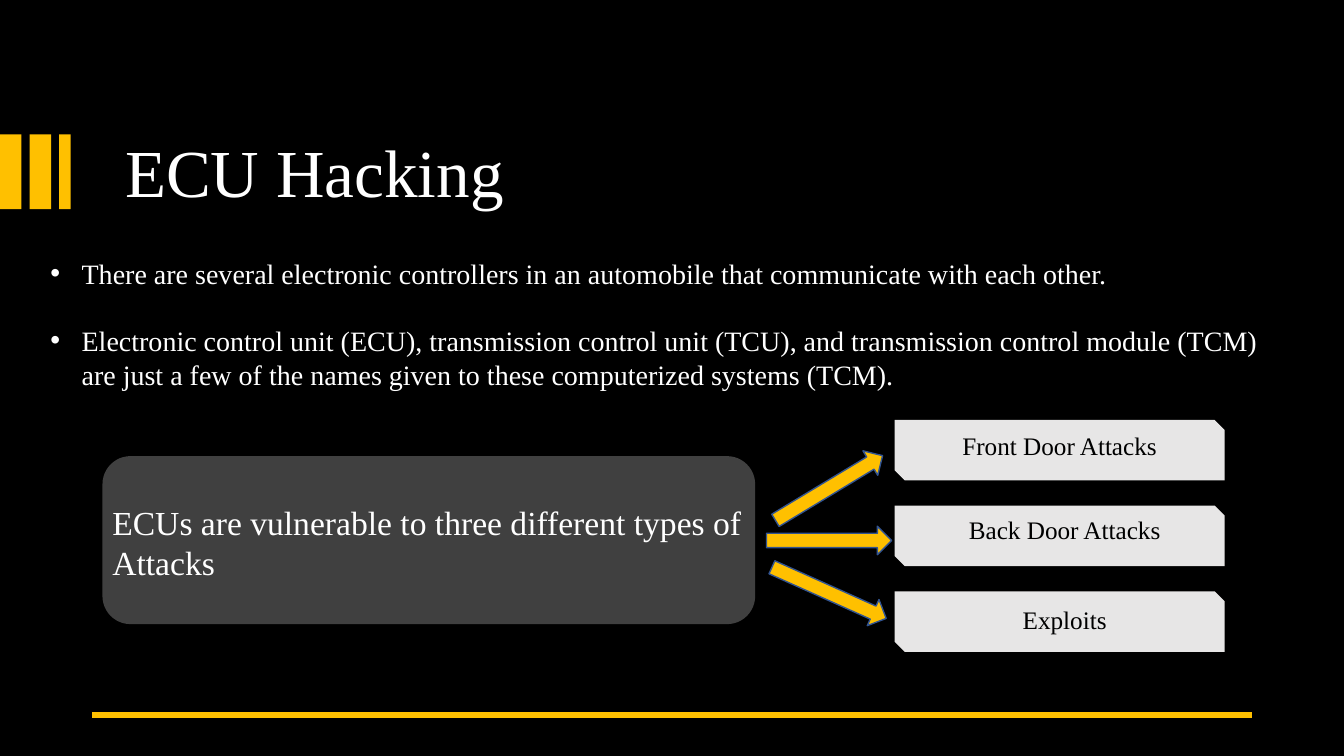
import dataclasses

import lxml.etree
import pptx
import pptx.dml.color
import pptx.enum.shapes
import pptx.enum.text
import pptx.oxml.ns
import pptx.util

COLORS = {
    "background": "000000",
    "accent": "FFC000",
    "claim": "404040",
    "card": "E7E6E6",
    "arrow_edge": "325491",
    "light_text": "FFFFFF",
    "dark_text": "000000",
}
FONT = "Times New Roman"
COLUMNS, ROWS = 160, 90
CELL = pptx.util.Inches(7.5) // ROWS
SHAPES = pptx.enum.shapes.MSO_SHAPE
ALIGN = pptx.enum.text.PP_ALIGN
ANCHOR = pptx.enum.text.MSO_ANCHOR

FACTS = [
    "There are several electronic controllers in an automobile that communicate with each other.",
    "Electronic control unit (ECU), transmission control unit (TCU), and transmission control "
    "module (TCM) are just a few of the names given to these computerized systems (TCM).",
]
ATTACKS = [
    ("Front Door Attacks", 2.2, 0.6),
    ("Back Door Attacks", 2.8, 0.5),
    ("Exploits", 2.8, 1),
]
ARROW_ANGLES = [-31.1, 0, 24.1]


@dataclasses.dataclass
class Box:
    left: float
    top: float
    width: float
    height: float

    def inner(self, left, top, width, height):
        return Box(self.left + left, self.top + top, width, height)

    def emu(self):
        return [round(cells * CELL) for cells in (self.left, self.top, self.width, self.height)]


def rgb(name):
    return pptx.dml.color.RGBColor.from_string(COLORS[name])


def add_block(slide, box, kind, fill, edge=None):
    block = slide.shapes.add_shape(kind, *box.emu())
    block.shadow.inherit = False
    block.fill.solid()
    block.fill.fore_color.rgb = rgb(fill)
    if edge:
        block.line.color.rgb = rgb(edge)
        block.line.width = pptx.util.Pt(1)
    else:
        block.line.fill.background()
    return block


def add_run(paragraph, text, size, color):
    run = paragraph.add_run()
    run.text = text
    run.font.name = FONT
    run.font.size = pptx.util.Pt(size)
    run.font.color.rgb = rgb(color)


def add_label(slide, box, text, size, color, align):
    frame = slide.shapes.add_textbox(*box.emu()).text_frame
    frame.word_wrap = True
    frame.paragraphs[0].alignment = align
    add_run(frame.paragraphs[0], text, size, color)


def place_placeholder(placeholder, box, anchor):
    placeholder.left, placeholder.top, placeholder.width, placeholder.height = box.emu()
    frame = placeholder.text_frame
    frame.auto_size = pptx.enum.text.MSO_AUTO_SIZE.NONE
    frame.word_wrap = True
    frame.vertical_anchor = anchor
    return frame


def add_header(slide, box):
    for index in range(3):
        add_block(slide, box.inner(index * 3.53, 8, 2.56, 8.9), SHAPES.RECTANGLE, "accent")
    add_block(slide, box.inner(8.4, 0, box.width - 8.4, box.height), SHAPES.RECTANGLE, "background")
    title = slide.shapes.title
    slide.shapes.element.append(title.element)
    frame = place_placeholder(title, box.inner(13.7, 2.7, 130.4, 20.4), ANCHOR.MIDDLE)
    heading = frame.paragraphs[0]
    heading.alignment = ALIGN.LEFT
    heading.line_spacing = 0.9
    heading.space_after = pptx.util.Pt(6)
    add_run(heading, "ECU Hacking", 48, "light_text")


def add_facts(slide, box):
    body = slide.placeholders[1]
    slide.shapes.element.append(body.element)
    frame = place_placeholder(body, box, ANCHOR.TOP)
    indent = pptx.util.Inches(0.31)
    for index, fact in enumerate(FACTS):
        paragraph = frame.add_paragraph() if index else frame.paragraphs[0]
        paragraph.alignment = ALIGN.LEFT
        paragraph.line_spacing = pptx.util.Pt(24)
        paragraph.space_before = pptx.util.Pt(0)
        paragraph.space_after = pptx.util.Pt(0 if index else 24)
        add_run(paragraph, fact, 20, "light_text")
        properties = paragraph._p.get_or_add_pPr()
        properties.set("marL", str(indent))
        properties.set("indent", str(-indent))


def add_claim(slide, box):
    add_block(slide, box, SHAPES.ROUNDED_RECTANGLE, "claim")
    add_label(slide, box.inner(0, 4.8, box.width + 1.7, 10.9),
              "ECUs are vulnerable to three different types of Attacks",
              24, "light_text", ALIGN.LEFT)


def add_attacks(slide, box):
    pitch = 10.2
    for index in range(len(ATTACKS)):
        add_block(slide, box.inner(0, index * pitch, box.width, 7.2),
                  SHAPES.SNIP_2_DIAG_RECTANGLE, "card")
    for index, (attack, inset, drop) in enumerate(ATTACKS):
        add_label(slide, box.inner(inset, index * pitch + drop, 34.9, 4.8),
                  attack, 18, "dark_text", ALIGN.CENTER)


def add_arrows(slide, box):
    for index, angle in enumerate(ARROW_ANGLES):
        arrow = add_block(slide, box.inner(0, index * 6.24, box.width, 3.4),
                          SHAPES.RIGHT_ARROW, "accent", "arrow_edge")
        arrow.rotation = angle


def add_footer_rule(slide, box):
    left, top, width, _ = box.emu()
    rule = slide.shapes.add_connector(
        pptx.enum.shapes.MSO_CONNECTOR.STRAIGHT, left + width, top, left, top)
    rule.line.color.rgb = rgb("accent")
    rule.line.width = pptx.util.Pt(4.5)
    lxml.etree.SubElement(rule.element.spPr, pptx.oxml.ns.qn("a:effectLst"))


def main():
    deck = pptx.Presentation()
    deck.slide_width, deck.slide_height = COLUMNS * CELL, ROWS * CELL
    slide = deck.slides.add_slide(deck.slide_layouts[1])
    slide.background.fill.solid()
    slide.background.fill.fore_color.rgb = rgb("background")
    add_header(slide, Box(0, 8, 151.6, 24.8))
    add_footer_rule(slide, Box(11, 85.1, 138, 0))
    add_facts(slide, Box(4.8, 29.9, 146.3, 21.4))
    add_claim(slide, Box(12.2, 54.3, 77.7, 20))
    add_attacks(slide, Box(106.5, 50, 39.3, 27.6))
    add_arrows(slide, Box(91.25, 56.4, 14.9, 15.9))
    deck.save("out.pptx")


if __name__ == "__main__":
    main()
